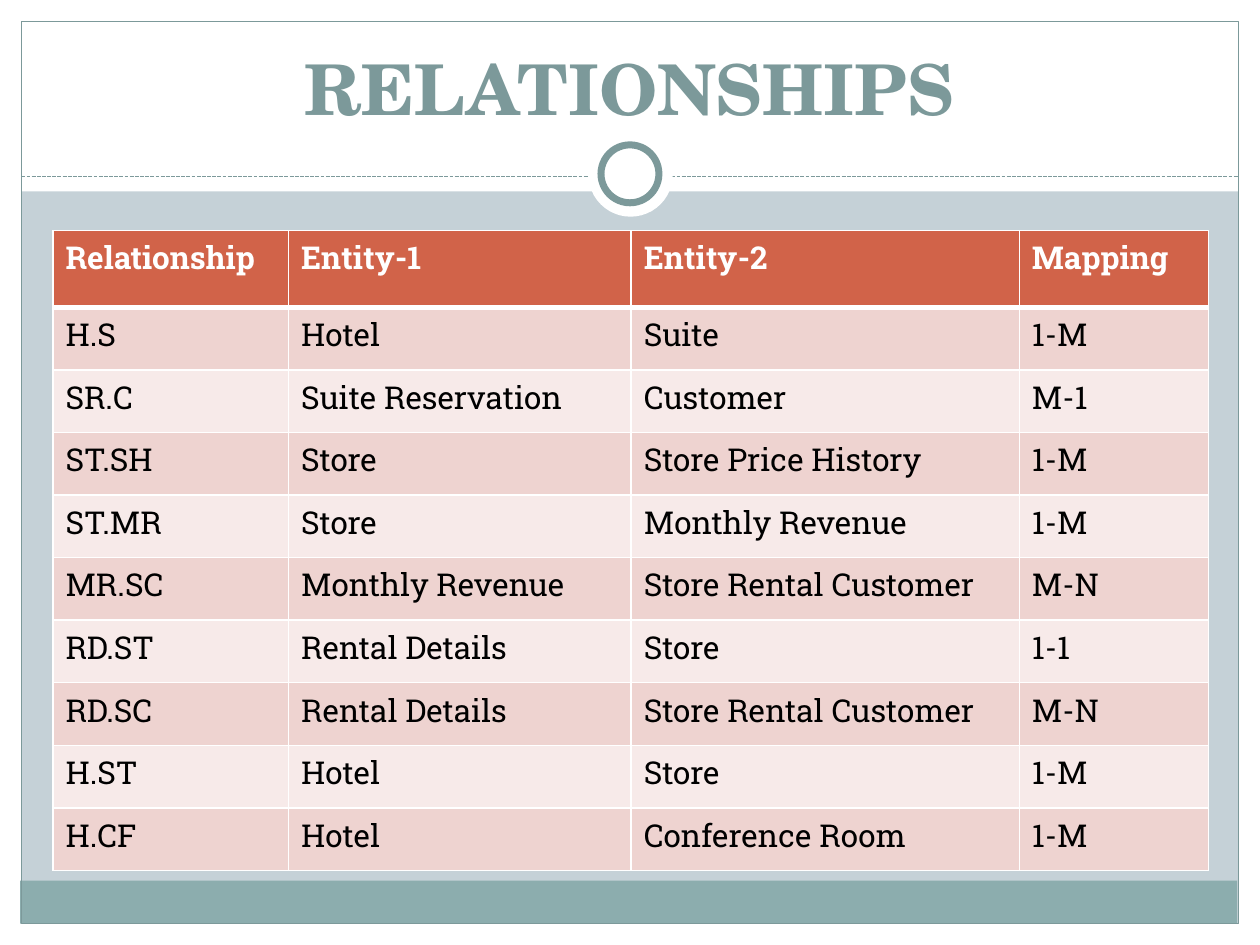
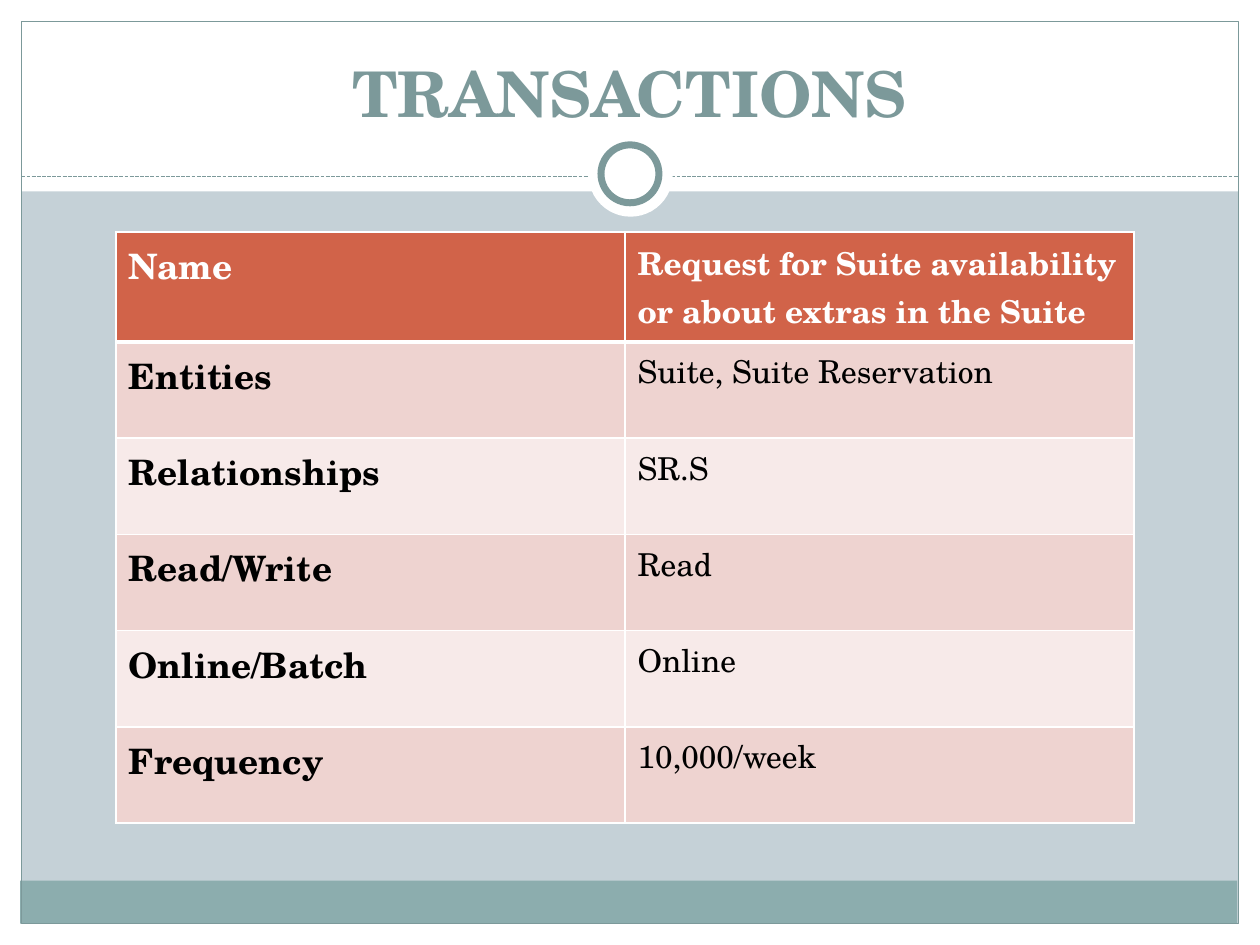
from dataclasses import dataclass

from lxml import etree
from pptx import Presentation, util as u
from pptx.dml.color import RGBColor
from pptx.enum import dml, shapes, text
from pptx.oxml import ns


@dataclass(frozen=True)
class Theme:
    # Colours
    ground: str = "C5D1D7"
    white: str = "FFFFFF"
    black: str = "000000"
    teal: str = "7C999A"
    foot: str = "8CADAE"
    head: str = "D16349"
    bands: tuple = ("EED3D0", "F7EAE9")
    # Fonts and type sizes
    serif: str = "TeX Gyre Schola"
    slab: str = "Roboto Slab"
    cell: int = 18
    label: int = 20
    # Line widths
    thin: float = 0.75
    ring: int = 4
    grid: int = 1
    rule: int = 3


class Deck:
    def __init__(self, theme):
        self.theme = theme
        self.prs = Presentation()
        self.prs.slide_width, self.prs.slide_height = u.Inches(10), u.Inches(7.5)
        self.layout = self.prs.slide_layouts[5]
        self.paint(self.layout.background.fill, theme.ground)
        self.slide = None

    def paint(self, fill, color):
        fill.solid()
        fill.fore_color.rgb = RGBColor.from_string(color)

    def stroke(self, line, width):
        line.color.rgb = RGBColor.from_string(self.theme.teal)
        line.width = u.Pt(width)

    def style(self, par, font, size, color, bold):
        for run in par.runs:
            run.font.name, run.font.size, run.font.bold = font, u.Pt(size), bold
            run.font.color.rgb = RGBColor.from_string(color)

    def page(self, title, size):
        first = self.slide is None
        self.slide = self.prs.slides.add_slide(self.layout)
        if first:
            self.frame()
        box = self.slide.shapes.title
        box.left, box.top = u.Inches(0.33), u.Inches(0.25)
        box.width, box.height = u.Inches(9.33), u.Inches(0.83)
        box.text_frame.text = title
        box.text_frame.auto_size = text.MSO_AUTO_SIZE.NONE
        box.text_frame.vertical_anchor = text.MSO_ANCHOR.BOTTOM
        par = box.text_frame.paragraphs[0]
        par.alignment = text.PP_ALIGN.CENTER
        self.style(par, self.theme.serif, size, self.theme.teal, True)

    def shape(self, kind, place, fill=None, width=None):
        item = self.slide.shapes.add_shape(kind, *map(u.Inches, place))
        item.shadow.inherit = False
        if fill:
            self.paint(item.fill, fill)
        else:
            item.fill.background()
        if width:
            self.stroke(item.line, width)
        else:
            item.line.fill.background()
        return item

    def dash(self, *ends):
        item = self.slide.shapes.add_connector(
            shapes.MSO_CONNECTOR.STRAIGHT, *map(u.Inches, ends))
        self.stroke(item.line, self.theme.thin)
        item.line.dash_style = dml.MSO_LINE.SQUARE_DOT
        etree.SubElement(item._element.spPr, ns.qn("a:effectLst"))
        return item

    def frame(self):
        """Draw the frame once and move it to the layout all slides share."""
        t = self.theme
        rect, oval = shapes.MSO_SHAPE.RECTANGLE, shapes.MSO_SHAPE.OVAL
        edges = ((0, 7.33, 10, 0.17), (0, 0, 10, 1.52),
                 (0, 0, 0.17, 7.5), (9.83, 0, 0.17, 7.5))
        parts = [self.shape(rect, edge, t.white) for edge in edges]
        parts += [
            self.shape(rect, (0.16, 6.99, 9.66, 0.34), t.foot),
            self.shape(rect, (0.17, 0.17, 9.66, 7.16), width=t.thin),
            self.dash(0.17, 1.4, 9.83, 1.4),
            self.shape(oval, (4.67, 1.05, 0.67, 0.67), t.white),
            self.shape(oval, (4.77, 1.15, 0.46, 0.46), t.white, t.ring),
        ]
        for part in parts:
            self.layout.shapes._spTree.append(part._element)

    def border(self, cell, row):
        t = self.theme
        top = t.rule if row == 1 else t.grid
        base = t.rule if row == 0 else t.grid
        props = cell._tc.get_or_add_tcPr()
        sides = (("L", t.grid), ("R", t.grid), ("T", top), ("B", base))
        for spot, (side, width) in enumerate(sides):
            line = etree.Element(ns.qn("a:ln" + side), w=str(u.Pt(width)))
            fill = etree.SubElement(line, ns.qn("a:solidFill"))
            etree.SubElement(fill, ns.qn("a:srgbClr"), val=t.white)
            props.insert(spot, line)

    def table(self, place, cols, head, data, font, labels=False):
        """Fill a banded table; labels makes the first column large and bold."""
        t = self.theme
        grid = self.slide.shapes.add_table(
            len(data), len(cols), *map(u.Inches, place)).table
        for col, width in zip(grid.columns, cols):
            col.width = u.Inches(width)
        rest = (place[3] - head) / (len(data) - 1)
        for r, values in enumerate(data):
            grid.rows[r].height = u.Inches(rest if r else head)
            for c, value in enumerate(values):
                cell = grid.cell(r, c)
                cell.text_frame.text = value
                label = labels and c == 0
                self.style(cell.text_frame.paragraphs[0], font,
                           t.label if label else t.cell,
                           t.black if r else t.white, r == 0 or label)
                self.paint(cell.fill, t.bands[(r - 1) % 2] if r else t.head)
                self.border(cell, r)


def main():
    theme = Theme()
    deck = Deck(theme)

    # Relationships between entities
    deck.page("RELATIONSHIPS", 40)
    links = (
        ("Relationship", "Entity-1", "Entity-2", "Mapping"),
        ("H.S", "Hotel", "Suite", "1-M"),
        ("SR.C", "Suite Reservation", "Customer", "M-1"),
        ("ST.SH", "Store", "Store Price History", "1-M"),
        ("ST.MR", "Store", "Monthly Revenue", "1-M"),
        ("MR.SC", "Monthly Revenue", "Store Rental Customer", "M-N"),
        ("RD.ST", "Rental Details", "Store", "1-1"),
        ("RD.SC", "Rental Details", "Store Rental Customer", "M-N"),
        ("H.ST", "Hotel", "Store", "1-M"),
        ("H.CF", "Hotel", "Conference Room", "1-M"),
    )
    deck.table((0.42, 1.83, 9.17, 5.08), (1.87, 2.72, 3.08, 1.5), 0.61,
               links, theme.slab)

    # Profile of one transaction
    deck.page("TRANSACTIONS", 36)
    facts = (
        ("Name", "Request for Suite availability or about extras in the Suite"),
        ("Entities", "Suite, Suite Reservation"),
        ("Relationships", "SR.S"),
        ("Read/Write", "Read"),
        ("Online/Batch", "Online"),
        ("Frequency", "10,000/week"),
    )
    deck.table((0.92, 1.84, 8.09, 4.58), (4.04, 4.04), 0.76,
               facts, theme.serif, labels=True)

    deck.prs.save("out.pptx")


if __name__ == "__main__":
    main()
